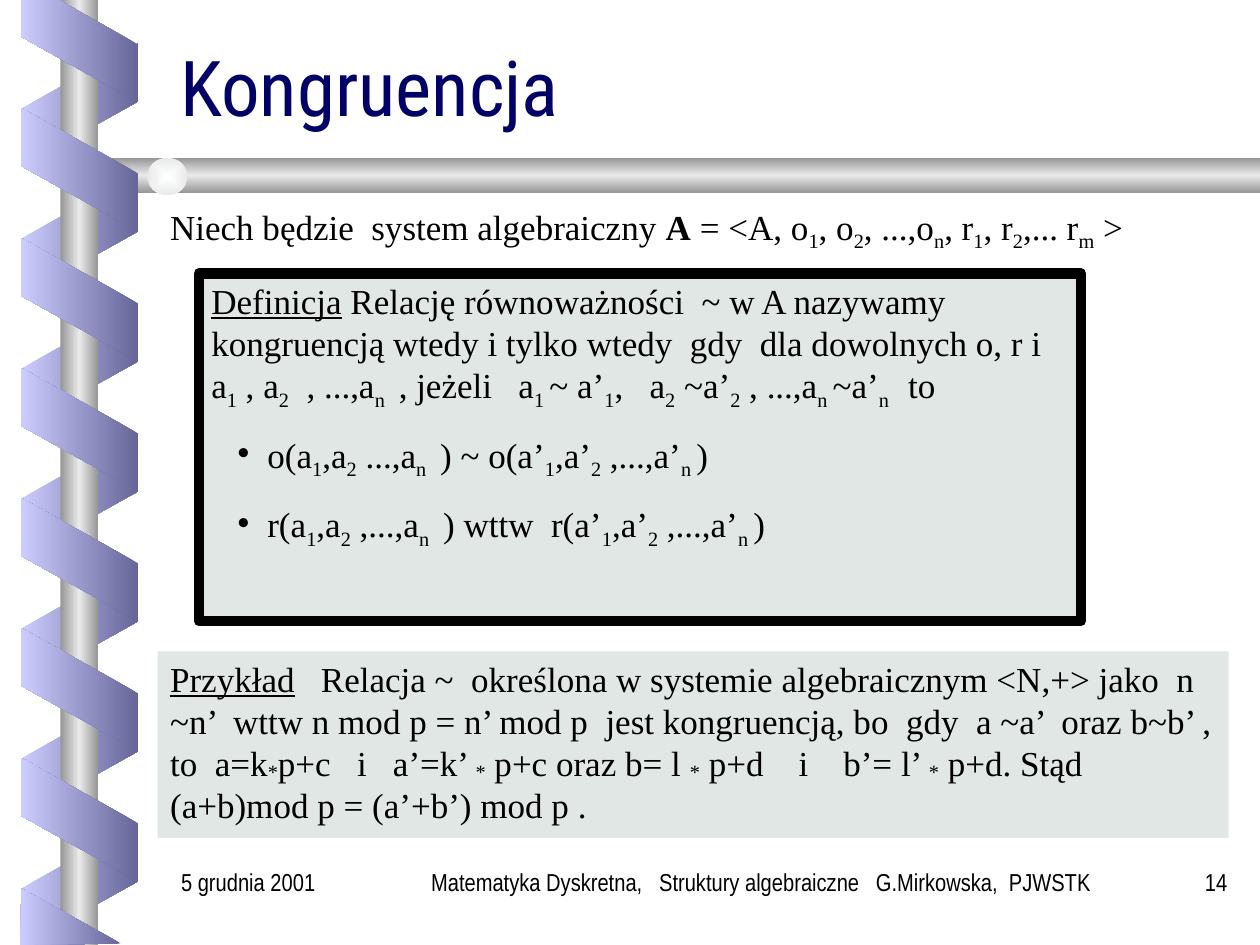
from pptx import Presentation
from pptx.dml.color import RGBColor
from pptx.enum.shapes import MSO_SHAPE as Kind
from pptx.enum.text import MSO_ANCHOR as Anchor, MSO_AUTO_SIZE as Auto, PP_ALIGN as Align
from pptx.oxml import parse_xml
from pptx.oxml.ns import nsdecls, qn
from pptx.util import Cm, Pt

HUES = {"ink": "000000", "title": "000066", "paper": "FFFFFF", "panel": "E1E7E4",
        "light": "CCCCFF", "dark": "666699", "steel": "969696", "shine": "EAEAEA", "pearl": "FEFFFF"}
SERIF, NARROW = "Times New Roman", "Arial Narrow"
TITLE = "Kongruencja"

# Within each text, "|" switches between normal and lowered characters.
INTRO = [[("", "Niech będzie  system algebraiczny "), ("b", "A"),
          ("", " = <A, o|1|, o|2|, ...,o|n|, r|1|, r|2|,... r|m| >")]]
RULE = [
    [("u", "Definicja"),
     ("", " Relację równoważności  ~ w A nazywamy kongruencją wtedy i tylko wtedy  gdy  "
          "dla dowolnych o, r i a|1| , a|2|  , ...,a|n | , jeżeli   a|1 |~ a’|1|,   a|2| ~a’|2"
          "| , ...,a|n |~a’|n  | to")],
    [("", "o(a|1|,a|2| ...,a|n | ) ~ o(a’|1|,a’|2| ,...,a’|n |)")],
    [("", "r(a|1|,a|2| ,...,a|n | ) wttw  r(a’|1|,a’|2| ,...,a’|n |)")],
]
CASE = [[("u", "Przykład"),
         ("", "   Relacja ~  określona w systemie algebraicznym <N,+> jako  n ~n’  wttw "
              "n mod p = n’ mod p  jest kongruencją, bo  gdy  a ~a’  oraz b~b’ , to  a=k|*|p+c   i   "
              "a’=k’ |*| p+c oraz b= l |*| p+d    i    b’= l’ |*| p+d. Stąd (a+b)mod p = (a’+b’) mod p .")]]
PANELS = [
    ((3.18, 4.01, 20.96, 1.22), INTRO, "paper", 0, -25),
    ((4.01, 5.51, 17.78, 7.01), RULE, "panel", 6, -25),
    ((3.18, 13.13, 21.59, 3.76), CASE, "panel", 0, -8),
]
FOOT = [
    ((8.05, 17.35, 14.6, 1.27), Align.CENTER,
     "Matematyka Dyskretna,   Struktury algebraiczne   G.Mirkowska,  PJWSTK"),
    ((22.86, 17.35, 2.13, 1.27), Align.RIGHT, "14"),
    ((3.4, 17.35, 4.42, 1.27), Align.LEFT, "5 grudnia 2001"),
]
METAL = ["steel", "shine", "steel"]
FRONT = ["dark", "light"]
BAR = [(25.4, 3.18), (1.93, 3.18), (1.52, 3.53), (1.93, 3.89), (25.4, 3.89)]
ENDS = [
    [(0.43, 0), (0.43, 0.74), (2.77, 2.06), (2.77, 0.89), (1.19, 0)],
    [(2.44, 19.02), (0.43, 17.91), (0.41, 19.05)],
]
STEP = 2.62


def color(name):
    """Return the named colour."""
    return RGBColor.from_string(HUES[name])


def spots(box):
    """Return a box of centimetres as lengths."""
    return [Cm(v) for v in box]


def shade(shape, names, way):
    """Give a shape a gradient and neither line nor shadow."""
    stops = "".join(
        f'<a:gs pos="{100000 * i // (len(names) - 1)}"><a:srgbClr val="{HUES[n]}"/></a:gs>'
        for i, n in enumerate(names))
    grad = parse_xml(f'<a:gradFill {nsdecls("a")} rotWithShape="0"><a:gsLst>{stops}</a:gsLst>{way}</a:gradFill>')
    shape.shadow.inherit = False
    shape.line.fill.background()
    shape.fill.solid()
    props = shape._element.spPr
    props.replace(props.find(qn("a:solidFill")), grad)


def slant(deg):
    """Return the direction of a linear gradient."""
    return f'<a:lin ang="{deg * 60000}" scaled="0"/>'


def outline(shapes, spots_cm, names, deg):
    """Draw a closed outline with a gradient."""
    dots = [(Cm(x), Cm(y)) for x, y in spots_cm]
    pen = shapes.build_freeform(*dots[0])
    pen.add_line_segments(dots[1:], close=True)
    shade(pen.convert_to_shape(), names, slant(deg))


def bands(shapes, top, count, turn, names, flip=False):
    """Draw one side of the spiral."""
    for i in range(count):
        band = shapes.add_shape(Kind.PARALLELOGRAM, *spots((0.36, top + i * STEP, 2.49, 2.36)))
        band.adjustments[0] = 0.56
        band.rotation = turn
        if flip:
            band._element.spPr.xfrm.set("flipH", "1")
        shade(band, names, slant(180))


def write(para, text, face, size, hue="ink"):
    """Add one run."""
    run = para.add_run()
    run.text = text
    run.font.name, run.font.size = face, Pt(size)
    run.font.color.rgb = color(hue)
    return run


def fill_para(para, parts, drop):
    """Write the styled parts of a paragraph."""
    for style, text in parts:
        for i, piece in enumerate(text.split("|")):
            run = write(para, piece, SERIF, 20)
            if style == "b":
                run.font.bold = True
            if style == "u":
                run.font.underline = True
            if i % 2:
                run._r.get_or_add_rPr().set("baseline", str(drop * 1000))


def panel(shapes, box, paras, hue, edge, drop):
    """Draw a filled box of text, with bullets after its first paragraph."""
    shape = shapes.add_shape(Kind.RECTANGLE, *spots(box))
    shape.shadow.inherit = False
    shape.fill.solid()
    shape.fill.fore_color.rgb = color(hue)
    if edge:
        shape.line.color.rgb = color("ink")
        shape.line.width = Pt(edge)
    else:
        shape.line.fill.background()
    frame = shape.text_frame
    frame.word_wrap = True
    frame.vertical_anchor = Anchor.TOP
    for i, parts in enumerate(paras):
        para = frame.add_paragraph() if i else frame.paragraphs[0]
        para.alignment = Align.LEFT
        if i:
            props = para._p.get_or_add_pPr()
            props.set("marL", str(Cm(1.13)))
            props.set("indent", str(-Cm(0.6)))
            props.append(parse_xml(f'<a:buChar {nsdecls("a")} char="•"/>'))
            para.space_before = Pt(12.5)
        fill_para(para, parts, drop)


def head(shape):
    """Place and write the title."""
    shape.left, shape.top, shape.width, shape.height = spots((3.38, 1.17, 21.59, 1.6))
    frame = shape.text_frame
    frame.auto_size, frame.word_wrap = Auto.NONE, True
    frame.vertical_anchor = Anchor.BOTTOM
    para = frame.paragraphs[0]
    para.alignment, para.line_spacing = Align.LEFT, 0.8
    write(para, TITLE, "Roboto Condensed", 44, "title")


def main():
    """Build the slide and save it."""
    deck = Presentation()
    deck.slide_width, deck.slide_height = Cm(25.4), Cm(19.05)
    slide = deck.slides.add_slide(deck.slide_layouts[5])
    shapes = slide.shapes
    head(shapes.title)
    bands(shapes, 0.94, 7, 90, FRONT[::-1], True)
    pole = shapes.add_shape(Kind.RECTANGLE, *spots((1.22, 0, 0.76, 19.05)))
    shade(pole, METAL, slant(180))
    outline(shapes, BAR, METAL, 90)
    ball = shapes.add_shape(Kind.OVAL, *spots((2.97, 3.18, 0.81, 0.76)))
    shade(ball, ["pearl", "shine"],
          '<a:path path="rect"><a:fillToRect l="50000" t="50000" r="50000" b="50000"/></a:path>')
    bands(shapes, 2.24, 6, 270, FRONT)
    for end in ENDS:
        outline(shapes, end, FRONT, 180)
    for item in PANELS:
        panel(shapes, *item)
    for box, side, text in FOOT:
        frame = shapes.add_textbox(*spots(box)).text_frame
        frame.word_wrap = True
        frame.paragraphs[0].alignment = side
        write(frame.paragraphs[0], text, NARROW, 14)
    deck.save("out.pptx")


if __name__ == "__main__":
    main()
